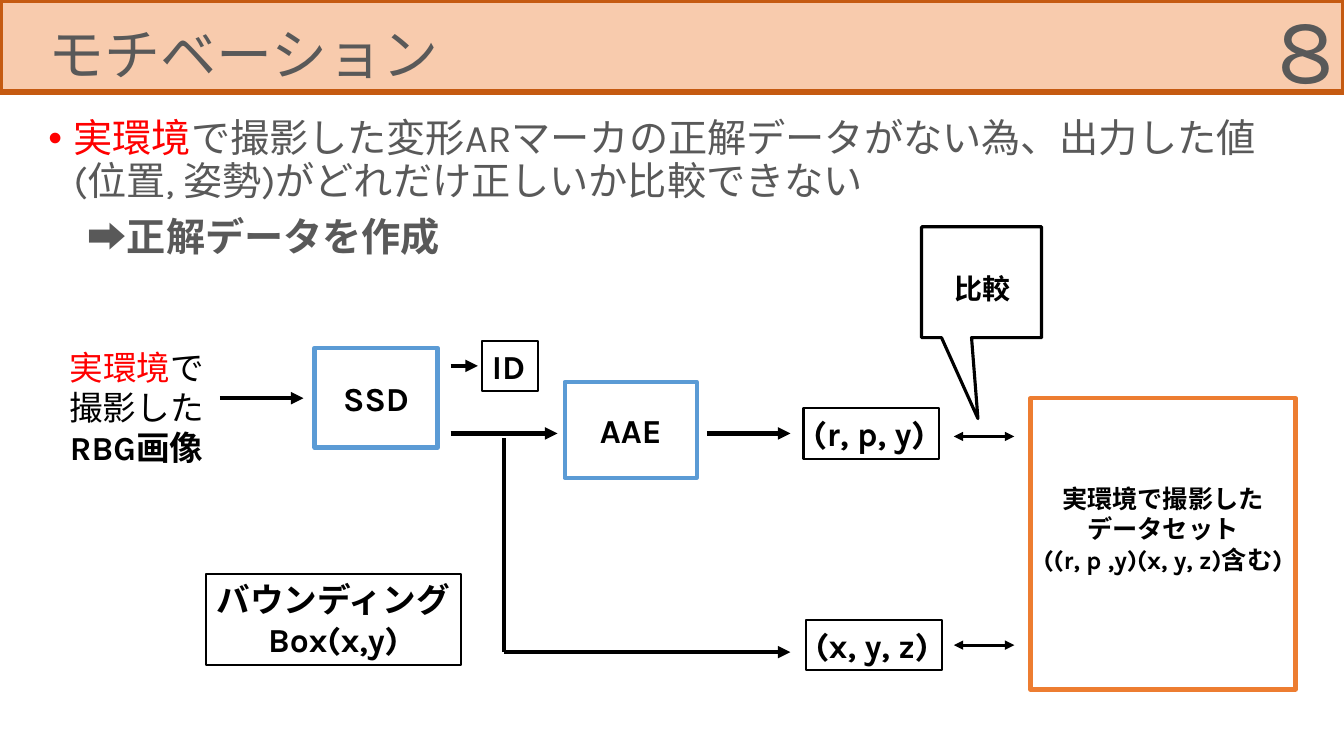
from dataclasses import dataclass

from lxml import etree
from pptx import Presentation
from pptx.dml.color import RGBColor
from pptx.enum.shapes import MSO_CONNECTOR, MSO_SHAPE
from pptx.enum.text import MSO_ANCHOR, MSO_AUTO_SIZE, PP_ALIGN
from pptx.oxml.ns import qn
from pptx.util import Inches, Pt

RECTANGLE = MSO_SHAPE.RECTANGLE
CALLOUT = MSO_SHAPE.RECTANGULAR_CALLOUT
STRAIGHT = MSO_CONNECTOR.STRAIGHT
MIDDLE, TOP = MSO_ANCHOR.MIDDLE, MSO_ANCHOR.TOP
LEFT, CENTER, RIGHT = PP_ALIGN.LEFT, PP_ALIGN.CENTER, PP_ALIGN.RIGHT
NO_FIT = MSO_AUTO_SIZE.NONE

FONT = "Karla"
COLORS = {
    "band": "F8CBAD", "band_line": "C55A11", "gray": "595959", "red": "FF0000",
    "black": "000000", "white": "FFFFFF", "blue": "5B9BD5", "orange": "ED7D31",
}


@dataclass
class Span:
    text: str
    size: float
    color: str = "black"
    bold: bool = True


@dataclass
class Box:
    left: float
    top: float
    width: float
    height: float
    lines: tuple = ()  # one tuple of spans for each paragraph
    fill: str = ""
    line: str = ""
    weight: float = 1.5
    align: PP_ALIGN = CENTER
    anchor: MSO_ANCHOR = TOP
    bottom_margin: float = 0.05
    preset: MSO_SHAPE = RECTANGLE


@dataclass
class Arrow:
    start: tuple[float, float]
    end: tuple[float, float]
    heads: tuple = ("tailEnd",)
    weight: float = 3


def color(name: str) -> RGBColor:
    return RGBColor.from_string(COLORS[name])


def place(shape, left: float, top: float, width: float, height: float) -> None:
    shape.left, shape.top = Inches(left), Inches(top)
    shape.width, shape.height = Inches(width), Inches(height)


def write(para, spans: tuple, align: PP_ALIGN) -> None:
    para.alignment = align
    for span in spans:
        run = para.add_run()
        run.text = span.text
        run.font.name = FONT
        run.font.size = Pt(span.size)
        run.font.bold = span.bold
        run.font.color.rgb = color(span.color)


def fill_frame(frame, lines: tuple, align: PP_ALIGN, anchor: MSO_ANCHOR) -> None:
    frame.word_wrap = True
    frame.auto_size = NO_FIT
    frame.vertical_anchor = anchor
    for index, spans in enumerate(lines):
        para = frame.add_paragraph() if index else frame.paragraphs[0]
        write(para, spans, align)


def draw_box(page, box: Box):
    area = [Inches(n) for n in (box.left, box.top, box.width, box.height)]
    if box.line:
        shape = page.shapes.add_shape(box.preset, *area)
        shape.shadow.inherit = False
        shape.line.color.rgb = color(box.line)
        shape.line.width = Pt(box.weight)
        if box.fill:
            shape.fill.solid()
            shape.fill.fore_color.rgb = color(box.fill)
        else:
            shape.fill.background()
    else:
        shape = page.shapes.add_textbox(*area)
    fill_frame(shape.text_frame, box.lines, box.align, box.anchor)
    shape.text_frame.margin_bottom = Inches(box.bottom_margin)
    return shape


def draw_arrow(page, arrow: Arrow) -> None:
    ends = [Inches(n) for n in (*arrow.start, *arrow.end)]
    connector = page.shapes.add_connector(STRAIGHT, *ends)
    connector.line.color.rgb = color("black")
    connector.line.width = Pt(arrow.weight)
    for head in arrow.heads:
        etree.SubElement(connector.line._get_or_add_ln(), qn(f"a:{head}"), type="triangle")
    etree.SubElement(connector.element.spPr, qn("a:effectLst"))


def draw_heading(page) -> None:
    band = draw_box(page, Box(0, 0, 13.33, 0.91, fill="band", line="band_line", weight=4.5))
    band.element.getparent().insert(2, band.element)
    title = page.shapes.title
    place(title, 0.38, 0.12, 12.58, 0.89)
    fill_frame(title.text_frame, ((Span("モチベーション", 40, "gray", False),),), LEFT, MIDDLE)
    title.text_frame.paragraphs[0].line_spacing = 0.9


def draw_body(page) -> None:
    body = page.placeholders[1]
    place(body, 0.38, 1.13, 12.58, 2.68)
    problem = (
        Span("実環境", 28, "red", False),
        Span("で撮影した変形ARマーカの正解データがない為、出力した値(位置, 姿勢)"
             "がどれだけ正しいか比較できない", 28, "gray", False),
    )
    remedy = (Span("➡", 28, "gray", False), Span("正解データを作成", 28, "gray"))
    frame = body.text_frame
    fill_frame(frame, (problem, remedy), LEFT, TOP)
    for para, margin, indent, space in zip(frame.paragraphs, (0.25, 0.39), (-0.25, 0), (0, 10)):
        properties = para._p.get_or_add_pPr()
        properties.set("marL", str(Inches(margin)))
        properties.set("indent", str(Inches(indent)))
        if indent:
            bullet_color = etree.SubElement(properties, qn("a:buClr"))
            etree.SubElement(bullet_color, qn("a:srgbClr"), val=COLORS["red"])
            etree.SubElement(properties, qn("a:buFont"), typeface="Arial")
            etree.SubElement(properties, qn("a:buChar"), char="•")
        else:
            etree.SubElement(properties, qn("a:buNone"))
        para.line_spacing = 0.9
        para.space_before = Pt(space)


def label(text: str, size: float = 24) -> tuple:
    return ((Span(text, size),),)


STEP = {"fill": "white", "line": "blue", "weight": 3, "anchor": MIDDLE}
VALUE = {"line": "black", "align": LEFT}
BOXES = [
    # Page number
    Box(10.33, 0.26, 3, 0.4, ((Span("8", 66, "gray", False),),), align=RIGHT, anchor=MIDDLE),
    # Processing steps
    Box(3.12, 3.45, 1.22, 0.99, label("SSD"), **STEP),
    Box(5.6, 3.79, 1.31, 0.95, label("AAE"), **STEP),
    # Inputs and outputs
    Box(0.43, 3.39, 1.85, 1.31, ((Span("実環境", 24, "red", False),
                                  Span("で撮影した", 24, bold=False), Span("RBG画像", 24)),)),
    Box(4.78, 3.38, 0.56, 0.5, label("ID"), **VALUE),
    Box(2.04, 5.69, 2.53, 0.91, label("バウンディングBox(x,y)"), line="black"),
    Box(7.97, 4.05, 1.34, 0.5, label("(r, p, y)"), **VALUE),
    Box(7.99, 6.15, 1.35, 0.5, label("(x, y, z)"), **VALUE),
    # Dataset with the correct answers
    Box(10.22, 3.95, 2.63, 2.89,
        label("実環境で撮影したデータセット", 18) + label("((r, p ,y)(x, y, z)含む)", 18),
        fill="white", line="orange", weight=3, anchor=MIDDLE, bottom_margin=0.35),
]
COMPARE = {"heads": ("headEnd", "tailEnd"), "weight": 2.25}
ARROWS = [
    Arrow((2.18, 3.95), (3.01, 3.95)),
    Arrow((4.47, 3.63), (4.74, 3.63)),
    Arrow((4.47, 4.3), (5.53, 4.3)),
    Arrow((7.01, 4.3), (7.84, 4.3)),
    Arrow((5, 4.35), (5, 6.47), heads=()),
    Arrow((5, 6.47), (7.84, 6.47)),
    Arrow((9.46, 4.33), (10.06, 4.33), **COMPARE),
    Arrow((9.46, 6.4), (10.06, 6.4), **COMPARE),
]


def main() -> None:
    deck = Presentation()
    deck.slide_width, deck.slide_height = Inches(13.33), Inches(7.5)
    page = deck.slides.add_slide(deck.slide_layouts[1])
    draw_heading(page)
    draw_body(page)
    for box in BOXES:
        draw_box(page, box)
    for arrow in ARROWS:
        draw_arrow(page, arrow)
    # Comparison callout and its label
    callout = draw_box(page, Box(9.14, 2.25, 1.19, 1.1, fill="white", line="black",
                                 weight=2.25, preset=CALLOUT))
    callout.adjustments[0], callout.adjustments[1] = -0.03, 1.23
    draw_box(page, Box(9.37, 2.64, 0.78, 0.44, label("比較", 20), align=LEFT))
    deck.save("out.pptx")


if __name__ == "__main__":
    main()
